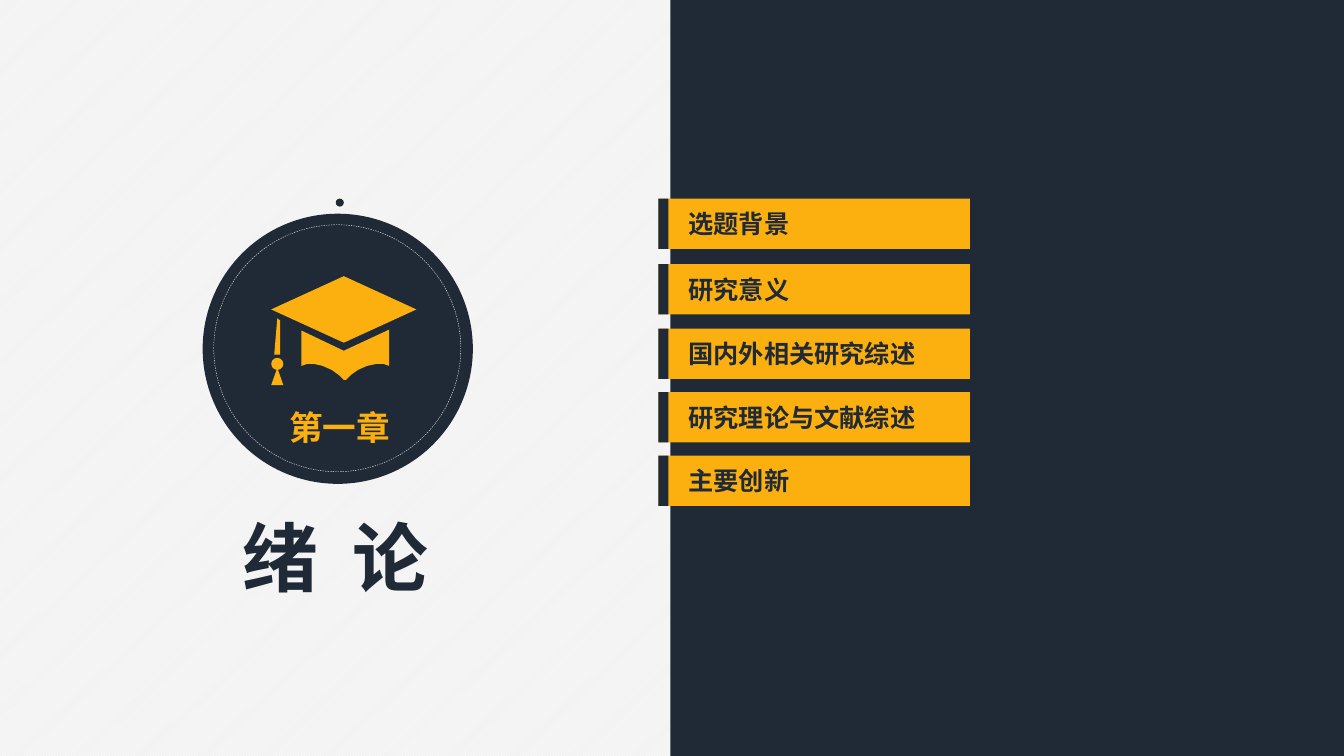
"""Build a chapter opener with a graduation badge and five topic bars."""
from lxml import etree
from pptx import Presentation
from pptx import util as u
from pptx.dml.color import RGBColor
from pptx.enum import dml, shapes, text
from pptx.oxml import ns

NAVY, GOLD, WHITE = "202A36", "FCB00F", "FFFFFF"
FACE = "Noto Sans CJK SC"
RECT, OVAL = shapes.MSO_SHAPE.RECTANGLE, shapes.MSO_SHAPE.OVAL
color = RGBColor.from_string

deck = Presentation()
deck.slide_width, deck.slide_height = u.Inches(13.33), u.Inches(7.5)
slide = deck.slides.add_slide(deck.slide_layouts[6])
back = slide.background.fill
back.patterned()
back.pattern = dml.MSO_PATTERN.LIGHT_UPWARD_DIAGONAL
back.fore_color.rgb, back.back_color.rgb = color(WHITE), color("F2F2F2")


def block(kind, box, fill):
    """Add a flat preset shape without an outline."""
    item = slide.shapes.add_shape(kind, *map(u.Inches, box))
    item.shadow.inherit = False
    item.line.fill.background()
    if fill:
        item.fill.solid()
        item.fill.fore_color.rgb = color(fill)
    else:
        item.fill.background()
    return item


def label(parts, box, size, tint, wrap=False):
    """Add a bold one-line text box and return its paragraph."""
    frame = slide.shapes.add_textbox(*map(u.Inches, box)).text_frame
    frame.word_wrap = wrap
    if not wrap:
        frame.auto_size = text.MSO_AUTO_SIZE.SHAPE_TO_FIT_TEXT
    para = frame.paragraphs[0]
    for part in parts:
        para.add_run().text = part
    font = para.font
    font.name, font.size, font.bold = FACE, u.Pt(size), True
    font.color.rgb = color(tint)
    etree.SubElement(font._element, ns.qn("a:ea")).set("typeface", FACE)
    return para


block(RECT, (6.65, 0, 6.68, 7.5), NAVY)

topics = [
    ("选题背景", 1.97),
    ("研究意义", 2.62),
    ("国内外相关研究综述", 3.26),
    ("研究理论与文献综述", 3.89),
    ("主要创新", 4.52),
]
for topic, top in topics:
    block(RECT, (6.53, top, 3.09, 0.5), GOLD)
    block(RECT, (6.53, top, 0.1, 0.5), NAVY)
    label([topic], (6.73, top + 0.05, 0.2 + len(topic) * 0.25, 0.4), 18, NAVY)

title = label(["绪", " ", "论"], (2.24, 5.02, 2.17, 1.01), 54, NAVY)
title.alignment = text.PP_ALIGN.CENTER
title.runs[1]._r.get_or_add_rPr().set("spc", "1200")

block(OVAL, (2.01, 2.12, 2.68, 2.68), NAVY)
block(OVAL, (3.33, 1.97, 0.08, 0.08), NAVY)
chapter = label(["第一章"], (2.07, 3.99, 2.6, 0.52), 24, GOLD, True)
chapter.alignment = text.PP_ALIGN.CENTER

ring = block(OVAL, (2.12, 2.23, 2.45, 2.45), None)
ring.line.color.rgb = color(WHITE)
ring.line.width = u.Pt(0.25)
ring.line.dash_style = dml.MSO_LINE.DASH

hem = [(299, 363), (305, 361), (311, 361), (320, 363), (329, 367),
       (336, 372), (341, 377), (343, 377), (348, 372), (355, 367),
       (364, 363), (374, 361), (380, 361), (386, 363)]
pieces = [
    hem + [(386, 327), (341, 348), (299, 328)],
    [(341, 274), (269, 307), (341, 340), (413, 307)],
    [(275, 316), (272, 352), (278, 352), (278, 318)],
    [(275, 365), (269, 382), (281, 382)],
]
for points in pieces:
    pen = slide.shapes.build_freeform(*points[0], scale=u.Inches(0.01))
    pen.add_line_segments(points[1:], close=True)
    piece = pen.convert_to_shape()
    piece.shadow.inherit = False
    piece.fill.solid()
    piece.fill.fore_color.rgb = color(GOLD)
    piece.line.fill.background()
block(OVAL, (2.69, 3.55, 0.12, 0.12), GOLD)

deck.save("out.pptx")
